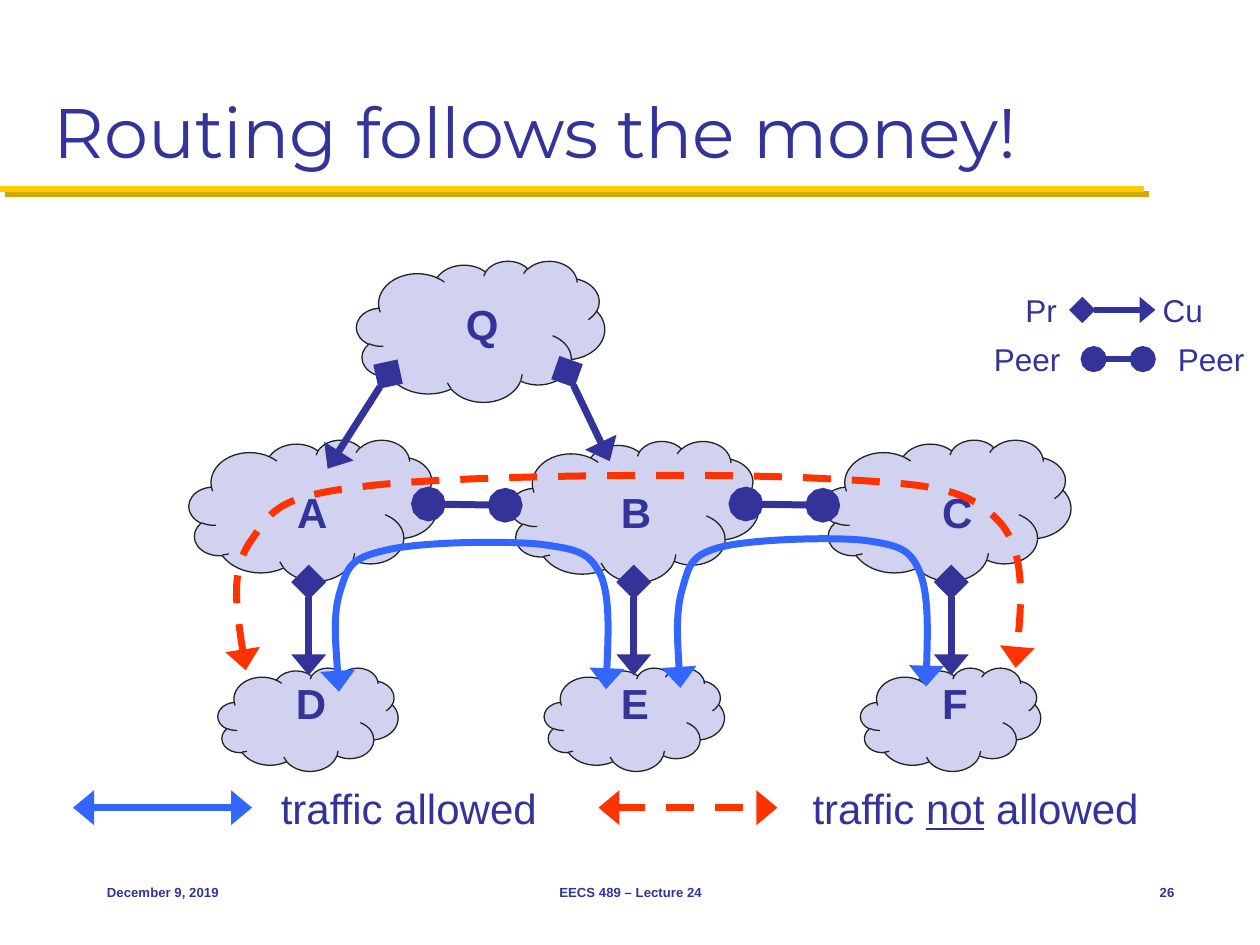
from lxml import etree
from pptx import Presentation
from pptx.dml.color import RGBColor
from pptx.enum.dml import MSO_LINE
from pptx.enum.shapes import MSO_CONNECTOR, MSO_SHAPE
from pptx.enum.text import MSO_ANCHOR, MSO_AUTO_SIZE, PP_ALIGN
from pptx.oxml.ns import qn
from pptx.util import Inches, Pt

NAVY = RGBColor(0x33, 0x33, 0x99)
LAVENDER = RGBColor(0xD1, 0xD1, 0xF0)
OUTLINE = RGBColor(0x23, 0x23, 0x23)
BLUE = RGBColor(0x33, 0x66, 0xFF)
RED = RGBColor(0xFF, 0x33, 0x00)
YELLOW = RGBColor(0xFF, 0xCB, 0x05)
GOLD = RGBColor(0xD3, 0xA6, 0x00)
STRAIGHT = MSO_CONNECTOR.STRAIGHT
CLOUD = MSO_SHAPE.CLOUD
DASH = MSO_LINE.DASH
TOP, MIDDLE, BOTTOM = MSO_ANCHOR.TOP, MSO_ANCHOR.MIDDLE, MSO_ANCHOR.BOTTOM
LEFT, CENTER, RIGHT = PP_ALIGN.LEFT, PP_ALIGN.CENTER, PP_ALIGN.RIGHT
GROW, FIXED = MSO_AUTO_SIZE.SHAPE_TO_FIT_TEXT, MSO_AUTO_SIZE.NONE

prs = Presentation()
prs.slide_width, prs.slide_height = Inches(10), Inches(7.5)
s = prs.slides.add_slide(prs.slide_layouts[6])


def style_line(sp, color, width, head=None, tail=None, dash=None):
    sp.line.color.rgb = color
    sp.line.width = Pt(width)
    if dash:
        sp.line.dash_style = dash
    ln = sp.line._get_or_add_ln()
    for tag, kind in (("a:headEnd", head), ("a:tailEnd", tail)):
        if kind:
            length = "med" if kind == "triangle" else "lg"
            etree.SubElement(ln, qn(tag), type=kind, w="lg", len=length)
    return etree.SubElement(sp._element.spPr, qn("a:effectLst"))


def add_text(box, runs, font, align=LEFT, anchor=TOP, fit=GROW, wrap=False):
    tf = s.shapes.add_textbox(*map(Inches, box)).text_frame
    frame = {"word_wrap": wrap, "auto_size": fit, "vertical_anchor": anchor}
    for name, value in frame.items():
        setattr(tf, name, value)
    p = tf.paragraphs[0]
    p.alignment = align
    for text, extra in runs:
        r = p.add_run()
        r.text = text
        r.font.color.rgb = NAVY
        for name, value in {"name": "Arial", **font, **extra}.items():
            setattr(r.font, name, value)


rule = s.shapes.add_connector(STRAIGHT, 0, Inches(1.5), Inches(9.08), Inches(1.5))
effects = style_line(rule, YELLOW, 3.5)
shadow = etree.SubElement(effects, qn("a:outerShdw"), dist=str(Pt(4.2)),
                          dir="2700000", algn="ctr", rotWithShape="0")
etree.SubElement(shadow, qn("a:srgbClr"), val=str(GOLD))
add_text((0.33, 0.17, 9.33, 1.25), [("Routing follows the money!", {})],
         {"name": "Montserrat", "size": Pt(40)}, anchor=BOTTOM, fit=FIXED, wrap=True)

small, large = (1.43, 0.82), (1.97, 1.12)
clouds = [(1.73, 5.3, small), (4.32, 5.3, small), (6.83, 5.3, small),
          (4.05, 3.5, large), (6.53, 3.49, large), (1.5, 3.49, large),
          (2.83, 2.07, large)]
for x, y, size in clouds:
    sp = s.shapes.add_shape(CLOUD, *map(Inches, (x, y, *size)))
    sp.shadow.inherit = False
    sp.fill.solid()
    sp.fill.fore_color.rgb = LAVENDER
    sp.line.color.rgb = OUTLINE
    sp.line.width = Pt(0.75)

peer = ("oval", "oval")
customer = ("diamond", "triangle")
traffic = ("triangle", "triangle")
links = [((x, 4, x + 0.61, 4.01), NAVY, 4, peer, None) for x in (3.4, 5.92)]
links += [((x, 4.62, x, 5.36), NAVY, 4, customer, None) for x in (2.45, 5.03, 7.55)]
links += [
    ((3.08, 2.97, 2.6, 3.72), NAVY, 4, customer, None),
    ((4.5, 2.95, 4.84, 3.66), NAVY, 4, customer, None),
    ((8.59, 2.46, 9.17, 2.46), NAVY, 3, customer, None),
    ((8.68, 2.85, 9.07, 2.85), NAVY, 3, peer, None),
    ((0.58, 6.41, 2, 6.41), BLUE, 4, traffic, None),
    ((4.75, 6.41, 6.17, 6.41), RED, 4, traffic, DASH),
]
for ends, color, width, heads, dash in links:
    sp = s.shapes.add_connector(STRAIGHT, *map(Inches, ends))
    style_line(sp, color, width, *heads, dash)

labels = [("A", 2.26, 3.81), ("B", 4.83, 3.81), ("C", 7.38, 3.81),
          ("D", 2.25, 5.33), ("E", 4.83, 5.33), ("F", 7.38, 5.33),
          ("Q", 3.6, 2.32)]
for text, x, y in labels:
    size = (0.4, 0.5) if text == "Q" else (0.39 if text == "A" else 0.37, 0.37)
    add_text((x, y, *size), [(text, {})], {"size": Pt(24), "bold": True})

legend = [("Pr", 8.04, 2.26, 0.47), ("Cu", 9.13, 2.26, 0.54),
          ("Peer", 7.79, 2.65, 0.75), ("Peer", 9.25, 2.65, 0.75)]
for text, x, y, w in legend:
    add_text((x, y, w, 0.4), [(text, {})], {"size": Pt(18)})

routes = [
    (BLUE, None, [(2.69, 5.49), (2.67, 5.18), (2.64, 4.88), (2.7, 4.69),
                  (2.76, 4.5), (2.78, 4.43), (3.05, 4.37),
                  (3.31, 4.3), (4.01, 4.29), (4.29, 4.32),
                  (4.58, 4.36), (4.68, 4.38), (4.77, 4.57),
                  (4.85, 4.76), (4.81, 5.47), (4.81, 5.47)]),
    (BLUE, None, [(5.4, 5.46), (5.38, 5.16), (5.36, 4.85), (5.42, 4.66),
                  (5.47, 4.48), (5.49, 4.4), (5.73, 4.34),
                  (5.97, 4.28), (6.61, 4.26), (6.87, 4.29),
                  (7.13, 4.33), (7.22, 4.35), (7.3, 4.54),
                  (7.38, 4.74), (7.35, 5.45), (7.35, 5.45)]),
    (RED, DASH, [(1.95, 5.32), (1.89, 4.92), (1.82, 4.52), (2, 4.28),
                 (2.17, 4.03), (2.22, 3.93), (2.98, 3.85),
                 (3.74, 3.77), (5.73, 3.75), (6.56, 3.8),
                 (7.38, 3.84), (7.67, 3.87), (7.92, 4.13),
                 (8.17, 4.38), (8.06, 5.3), (8.06, 5.3)]),
]
for color, dash, points in routes:
    start, *rest = [(Inches(x), Inches(y)) for x, y in points]
    builder = s.shapes.build_freeform(*start)
    builder.add_line_segments(rest, close=False)
    sp = builder.convert_to_shape()
    outline = next(sp._element.iter(qn("a:path")))
    segments = outline.findall(qn("a:lnTo"))
    for i in range(0, len(segments), 3):
        curve = etree.SubElement(outline, qn("a:cubicBezTo"))
        for segment in segments[i:i + 3]:
            curve.append(segment[0])
            outline.remove(segment)
    sp.fill.background()
    style_line(sp, color, 4, *traffic, dash)

add_text((2.13, 6.16, 2.25, 0.51), [("traffic allowed", {})], {"size": Pt(24)})
add_text((6.35, 6.16, 2.81, 0.51),
         [("traffic ", {}), ("not", {"underline": True}), (" allowed", {})],
         {"size": Pt(24)})

footers = [("December 9, 2019", 0.75, 2.08, LEFT),
           ("EECS 489 – Lecture 24", 3.42, 3.17, CENTER),
           ("26", 8.75, 0.67, RIGHT)]
for text, x, w, align in footers:
    add_text((x, 6.83, w, 0.5), [(text, {})], {"size": Pt(7.5), "bold": True},
             align, MIDDLE, FIXED)

prs.save("out.pptx")
